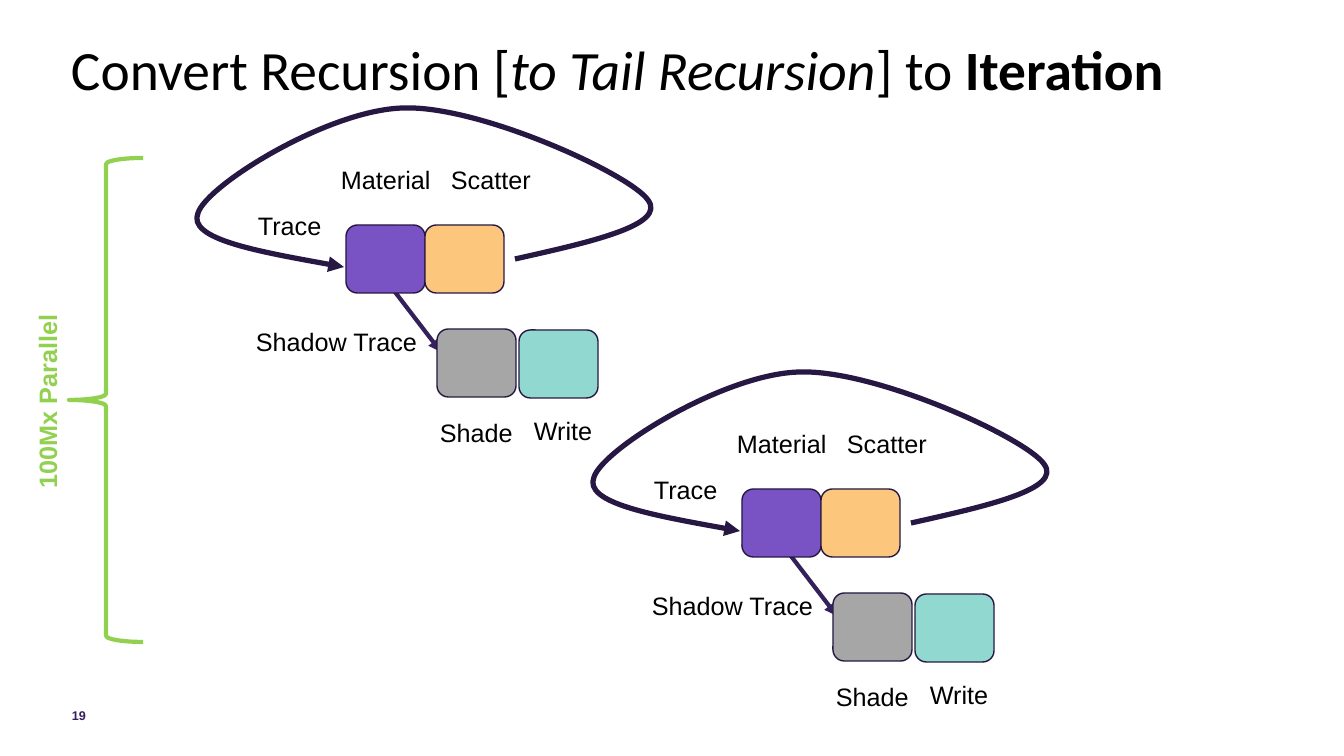
from pptx import Presentation
from pptx.dml.color import RGBColor as RGB
from pptx.enum.shapes import MSO_CONNECTOR as LINK, MSO_SHAPE as SHAPE
from pptx.enum.text import MSO_ANCHOR as ANCHOR, MSO_AUTO_SIZE as AUTO
from pptx.oxml.ns import qn
from pptx.util import Pt
from lxml.etree import SubElement as Sub

PX = 914400 / 100.8
BLACK = RGB(0, 0, 0)
INK = RGB(0x26, 0x18, 0x43)
PLUM = RGB(0x34, 0x20, 0x5B)
GREEN = RGB(0x92, 0xD0, 0x50)
VIOLET = RGB(0x79, 0x53, 0xC3)
ORANGE = RGB(0xFC, 0xC7, 0x7C)
TEAL = RGB(0x90, 0xD8, 0xD0)
GRAY = RGB(0xA6, 0xA6, 0xA6)

TITLE = [
    ("Convert Recursion [", False, False),
    ("to Tail Recursion", False, True),
    ("] to ", False, False),
    ("Iteration", True, False),
]
SHIFTS = [(0, 0), (396, 264)]
BOX = (79, 68)
BOXES = [(346, 225, VIOLET), (425, 225, ORANGE), (519, 330, TEAL), (437, 329, GRAY)]
LABELS = [
    ("Material", 331, 159, 111),
    ("Scatter", 441, 159, 101),
    ("Trace", 248, 205, 85),
    ("Shadow Trace", 246, 321, 182),
    ("Shade", 430, 412, 94),
    ("Write", 524, 410, 80),
]
ARROW = (395, 292, 441, 352)
START = (515, 259)
CURVES = [
    ((591, 242), (667, 225), (648, 200)),
    ((630, 174), (479, 105), (403, 108)),
    ((328, 110), (207, 185), (198, 213)),
    ((187, 239), (266, 253), (344, 267)),
]


def emu(*sizes):
    return [round(size * PX) for size in sizes]


def style(font, name, size, color, bold=None):
    font.name, font.size, font.bold = name, Pt(size), bold
    font.color.rgb = color


def add_text(slide, words, place, size=18, color=BLACK, bold=None):
    box = slide.shapes.add_textbox(*emu(*place))
    frame = box.text_frame
    frame.word_wrap = False
    frame.auto_size = AUTO.SHAPE_TO_FIT_TEXT
    line = frame.paragraphs[0]
    line.text = words
    style(line.font, "Arial", size, color, bold)
    return box


def pin(box):
    frame = box.text_frame
    frame.word_wrap = True
    frame.auto_size = AUTO.NONE
    frame.vertical_anchor = ANCHOR.MIDDLE
    frame.margin_left = frame.margin_right = 0
    frame.margin_top = frame.margin_bottom = 0


def add_shape(slide, kind, place, fill, color, width):
    shape = slide.shapes.add_shape(kind, *emu(*place))
    shape.shadow.inherit = False
    if fill is None:
        shape.fill.background()
    else:
        shape.fill.solid()
        shape.fill.fore_color.rgb = fill
    shape.line.color.rgb = color
    shape.line.width = Pt(width)


def add_head(shape, color, width):
    shape.line.color.rgb = color
    shape.line.width = Pt(width)
    Sub(shape.line._get_or_add_ln(), qn("a:tailEnd"), type="triangle")


def add_arrow(slide, dx, dy):
    x1, y1, x2, y2 = ARROW
    ends = emu(x1 + dx, y1 + dy, x2 + dx, y2 + dy)
    arrow = slide.shapes.add_connector(LINK.STRAIGHT, *ends)
    add_head(arrow, PLUM, 3)
    Sub(arrow._element.spPr, qn("a:effectLst"))


def add_loop(slide, dx, dy):
    knots = [START] + [curve[-1] for curve in CURVES]
    left = min(x for x, y in knots)
    top = min(y for x, y in knots)
    form = slide.shapes.build_freeform(*START, scale=PX)
    form.add_line_segments(knots[1:], close=False)
    loop = form.convert_to_shape(*emu(dx, dy))
    loop.shadow.inherit = False
    loop.fill.background()
    add_head(loop, INK, 3.75)
    steps = list(loop._element.iter(qn("a:lnTo")))
    for step, curve in zip(steps, CURVES):
        route = step.getparent()
        route.remove(step)
        bend = Sub(route, qn("a:cubicBezTo"))
        for x, y in curve:
            Sub(bend, qn("a:pt"), x=str(x - left), y=str(y - top))


def add_group(slide, dx, dy):
    add_arrow(slide, dx, dy)
    for x, y, fill in BOXES:
        add_shape(slide, SHAPE.ROUNDED_RECTANGLE, (x + dx, y + dy, *BOX), fill, INK, 1)
    for words, x, y, width in LABELS:
        add_text(slide, words, (x + dx, y + dy, width, 40))
    add_loop(slide, dx, dy)


def add_title(slide):
    box = slide.shapes.add_textbox(*emu(71, 15, 1104, 116))
    pin(box)
    line = box.text_frame.paragraphs[0]
    line.line_spacing = 0.9
    style(line.font, "Calibri", 39.6, BLACK)
    for words, bold, slant in TITLE:
        run = line.add_run()
        run.text = words
        run.font.bold, run.font.italic = bold, slant


def main():
    deck = Presentation()
    deck.slide_width, deck.slide_height = emu(1344, 756)
    slide = deck.slides.add_slide(deck.slide_layouts[6])
    add_title(slide)
    pin(add_text(slide, "19", (72, 696, 48, 40), 9, PLUM, True))
    for dx, dy in SHIFTS:
        add_group(slide, dx, dy)
    add_shape(slide, SHAPE.LEFT_BRACE, (69, 158, 74, 484), None, GREEN, 3)
    side = add_text(slide, "100Mx Parallel", (-51, 380, 196, 40), 18, GREEN, True)
    side.rotation = 270
    deck.save("out.pptx")


if __name__ == "__main__":
    main()
